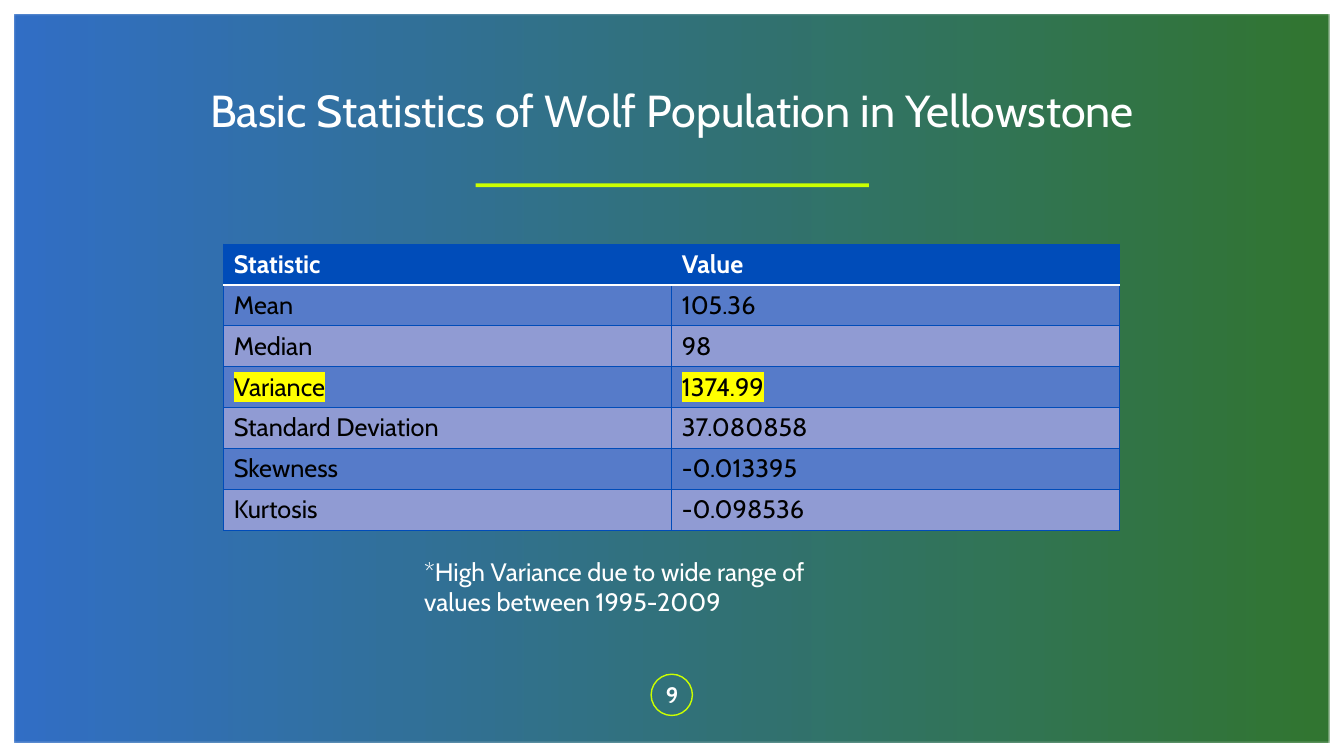
"""Build the slide of basic statistics for the Yellowstone wolf population."""
from typing import NamedTuple

from lxml import etree
from pptx import Presentation
from pptx import util as u
from pptx.dml.color import RGBColor
from pptx.enum import shapes, text
from pptx.oxml import ns

FONT = "Cabin"
BLUE, GREEN, LIME = "004CB9", "005500", "CBFF00"
WHITE, BLACK, YELLOW = "FFFFFF", "000000", "FFFF00"
ODD_ROW, EVEN_ROW = "567BC9", "909BD3"
SHAPE = shapes.MSO_SHAPE
MIDDLE = text.MSO_ANCHOR.MIDDLE
CENTER = text.PP_ALIGN.CENTER


class Box(NamedTuple):
    left: float
    top: float
    width: float
    height: float

    def lengths(self) -> list:
        return [u.Cm(value) for value in self]


class Statistic(NamedTuple):
    name: str
    value: str
    highlight: str | None = None


STATISTICS = [
    Statistic("Mean", "105.36"),
    Statistic("Median", "98"),
    Statistic("Variance", "1374.99", YELLOW),
    Statistic("Standard Deviation", "37.080858"),
    Statistic("Skewness", "-0.013395"),
    Statistic("Kurtosis", "-0.098536"),
]


def rgb(color: str) -> RGBColor:
    return RGBColor.from_string(color)


def add_child(parent, tag: str, **attributes: str):
    return etree.SubElement(parent, ns.qn(tag), attributes)


def write(frame, words: str, *, size: float = 18, color: str = WHITE, bold: bool = False,
          align=None, anchor=None, spacing: float | None = None,
          highlight: str | None = None) -> None:
    frame.word_wrap = True
    if anchor is not None:
        frame.vertical_anchor = anchor
    paragraph = frame.paragraphs[0]
    paragraph.alignment = align
    paragraph.line_spacing = spacing
    run = paragraph.add_run()
    run.text = words
    run.font.size = u.Pt(size)
    run.font.bold = bold
    run.font.color.rgb = rgb(color)
    if highlight:
        marker = add_child(run.font._element, "a:highlight")
        add_child(marker, "a:srgbClr", val=highlight)
    run.font.name = FONT


def add_text(slide, box: Box, words: str, **style) -> None:
    write(slide.shapes.add_textbox(*box.lengths()).text_frame, words, **style)


def add_shape(slide, kind, box: Box, fill: str | None = None, line: str | None = None):
    shape = slide.shapes.add_shape(kind, *box.lengths())
    shape.shadow.inherit = False
    if fill:
        shape.fill.solid()
        shape.fill.fore_color.rgb = rgb(fill)
    else:
        shape.fill.background()
    if line:
        shape.line.color.rgb = rgb(line)
        shape.line.width = u.Pt(1)
    else:
        shape.line.fill.background()
    return shape


def add_backdrop(slide, box: Box) -> None:
    shape = add_shape(slide, SHAPE.RECTANGLE, box)
    shape.fill.gradient()
    shape.fill.gradient_angle = 0
    for stop, color, position in zip(shape.fill.gradient_stops, (BLUE, GREEN), (0, 0.99)):
        stop.color.rgb = rgb(color)
        stop.position = position
    for color in shape._element.iterfind(".//" + ns.qn("a:gs") + "/" + ns.qn("a:srgbClr")):
        add_child(color, "a:alpha", val="80000")


def set_cell(cell, words: str, fill: str, white_side: str | None, **style) -> None:
    properties = cell._tc.get_or_add_tcPr()
    for side in ("L", "R", "T", "B"):
        is_white = side == white_side
        line = add_child(properties, "a:ln" + side, w=str(u.Pt(1 if is_white else 0.5)))
        solid = add_child(line, "a:solidFill")
        add_child(solid, "a:srgbClr", val=WHITE if is_white else BLUE)
    cell.fill.solid()
    cell.fill.fore_color.rgb = rgb(fill)
    write(cell.text_frame, words, **style)


def add_statistics(slide, box: Box) -> None:
    rows = [Statistic("Statistic", "Value"), *STATISTICS]
    table = slide.shapes.add_table(len(rows), 2, *box.lengths()).table
    for index, statistic in enumerate(rows):
        table.rows[index].height = u.Cm(box.height / len(rows))
        header = index == 0
        fill = BLUE if header else ODD_ROW if index % 2 else EVEN_ROW
        white_side = {0: "B", 1: "T"}.get(index)
        for column, words in enumerate((statistic.name, statistic.value)):
            set_cell(table.cell(index, column), words, fill, white_side,
                     color=WHITE if header else BLACK, bold=header,
                     highlight=statistic.highlight)


def main() -> None:
    presentation = Presentation()
    presentation.slide_width, presentation.slide_height = u.Cm(33.87), u.Cm(19.05)
    slide = presentation.slides.add_slide(presentation.slide_layouts[6])
    add_backdrop(slide, Box(0.36, 0.36, 33.15, 18.34))
    add_shape(slide, SHAPE.OVAL, Box(16.41, 16.99, 1.04, 1.04), line=LIME)
    add_shape(slide, SHAPE.RECTANGLE, Box(11.99, 4.62, 9.91, 0.1), fill=LIME)
    add_text(slide, Box(16.18, 16.99, 1.52, 1.02), "9",
             size=16, bold=True, align=CENTER, anchor=MIDDLE)
    add_text(slide, Box(2.34, 1.02, 29.21, 3.68),
             "Basic Statistics of Wolf Population in Yellowstone",
             size=32, align=CENTER, anchor=MIDDLE, spacing=0.9)
    add_statistics(slide, Box(5.64, 6.15, 22.58, 7.21))
    add_text(slide, Box(10.44, 13.89, 11.53, 1.8),
             "*High Variance due to wide range of values between 1995-2009")
    presentation.save("out.pptx")


if __name__ == "__main__":
    main()
